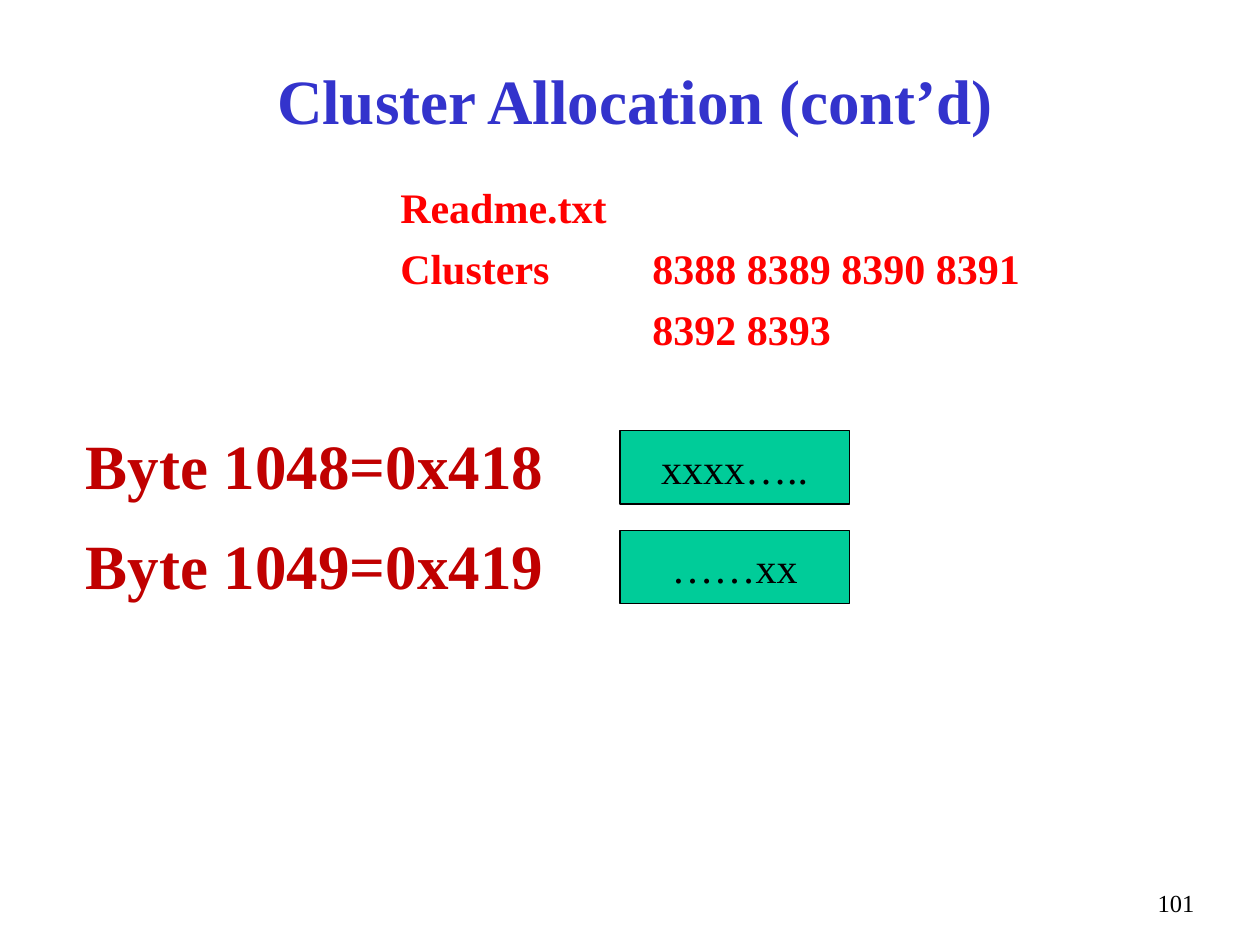
from lxml.etree import SubElement
from pptx import Presentation
from pptx.dml.color import RGBColor
from pptx.enum.shapes import MSO_SHAPE
from pptx.enum.text import MSO_ANCHOR, MSO_AUTO_SIZE, PP_ALIGN
from pptx.oxml.ns import qn
from pptx.util import Cm, Pt

BLUE = RGBColor(0x33, 0x33, 0xCC)
RED = RGBColor(0xFF, 0x00, 0x00)
DARK_RED = RGBColor(0xC0, 0x00, 0x00)
GREEN = RGBColor(0x00, 0xCC, 0x99)
BLACK = RGBColor(0x00, 0x00, 0x00)


def style(paragraph, size, color, bold=False, align=PP_ALIGN.LEFT):
    paragraph.alignment = align
    font = paragraph.font
    font.name = "Times New Roman"
    font.size = Pt(size)
    font.bold = bold
    font.color.rgb = color


def add_text(page, left, top, width, height, text):
    box = page.shapes.add_textbox(Cm(left), Cm(top), Cm(width), Cm(height))
    box.text_frame.word_wrap = True
    box.text_frame.text = text
    return box.text_frame.paragraphs


deck = Presentation()
deck.slide_width = Cm(25.4)
deck.slide_height = Cm(19.05)
page = deck.slides.add_slide(deck.slide_layouts[5])

title = page.shapes.title
title.left, title.top, title.width, title.height = Cm(0.84), Cm(0.84), Cm(23.93), Cm(2.34)
title.text_frame.text = "Cluster Allocation (cont’d)"
title.text_frame.auto_size = MSO_AUTO_SIZE.NONE
title.text_frame.vertical_anchor = MSO_ANCHOR.MIDDLE
style(title.text_frame.paragraphs[0], 36, BLUE, True, PP_ALIGN.CENTER)

number = add_text(page, 22.2, 17.78, 2.13, 1.27, "101")
style(number[0], 14, BLACK, align=PP_ALIGN.RIGHT)

clusters = add_text(page, 7.82, 3.53, 15.27, 3.73,
                    "Readme.txt\nClusters\t8388 8389 8390 8391\n\t8392 8393")
for index, paragraph in enumerate(clusters):
    if index:
        paragraph.space_before = Pt(6)
        tabs = SubElement(paragraph._p.get_or_add_pPr(), qn("a:tabLst"))
        SubElement(tabs, qn("a:tab"), pos=str(Cm(5.08)), algn="l")
    style(paragraph, 24, RED, True)

rows = [("Byte 1048=0x418", "xxxx….."), ("Byte 1049=0x419", "……xx")]
for index, (label, bits) in enumerate(rows):
    offset = index * 2.01
    cell = page.shapes.add_shape(MSO_SHAPE.RECTANGLE, Cm(12.5), Cm(8.68 + offset),
                                 Cm(4.62), Cm(1.48))
    cell.shadow.inherit = False
    cell.fill.solid()
    cell.fill.fore_color.rgb = GREEN
    cell.line.color.rgb = BLACK
    cell.line.width = Pt(0.75)
    cell.text_frame.text = bits
    cell.text_frame.word_wrap = False
    cell.text_frame.vertical_anchor = MSO_ANCHOR.MIDDLE
    style(cell.text_frame.paragraphs[0], 24, BLACK, align=PP_ALIGN.CENTER)

    byte_label = add_text(page, 1.48, 8.47 + offset, 12.9, 1.8, label)
    style(byte_label[0], 36, DARK_RED, True)

deck.save("out.pptx")
